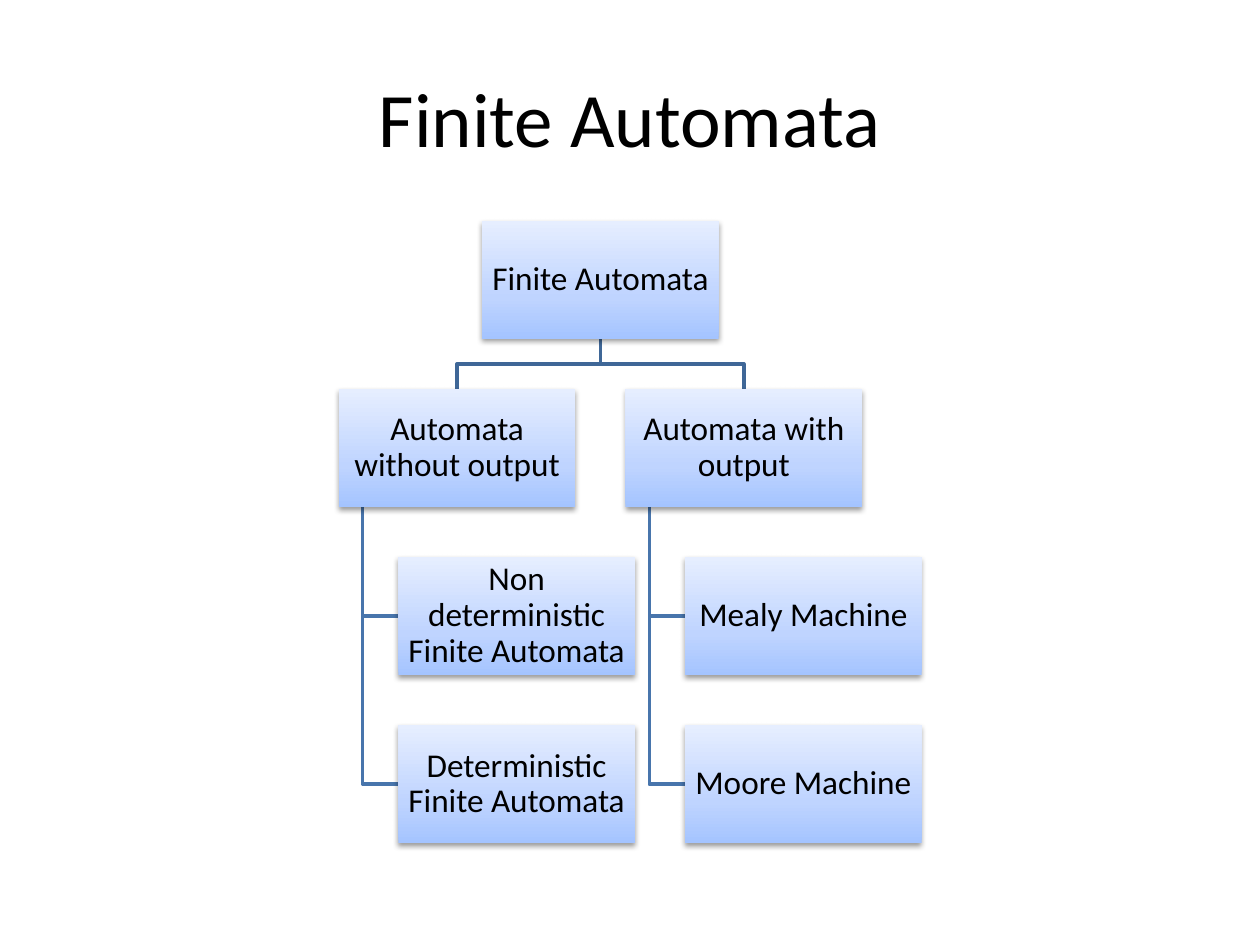
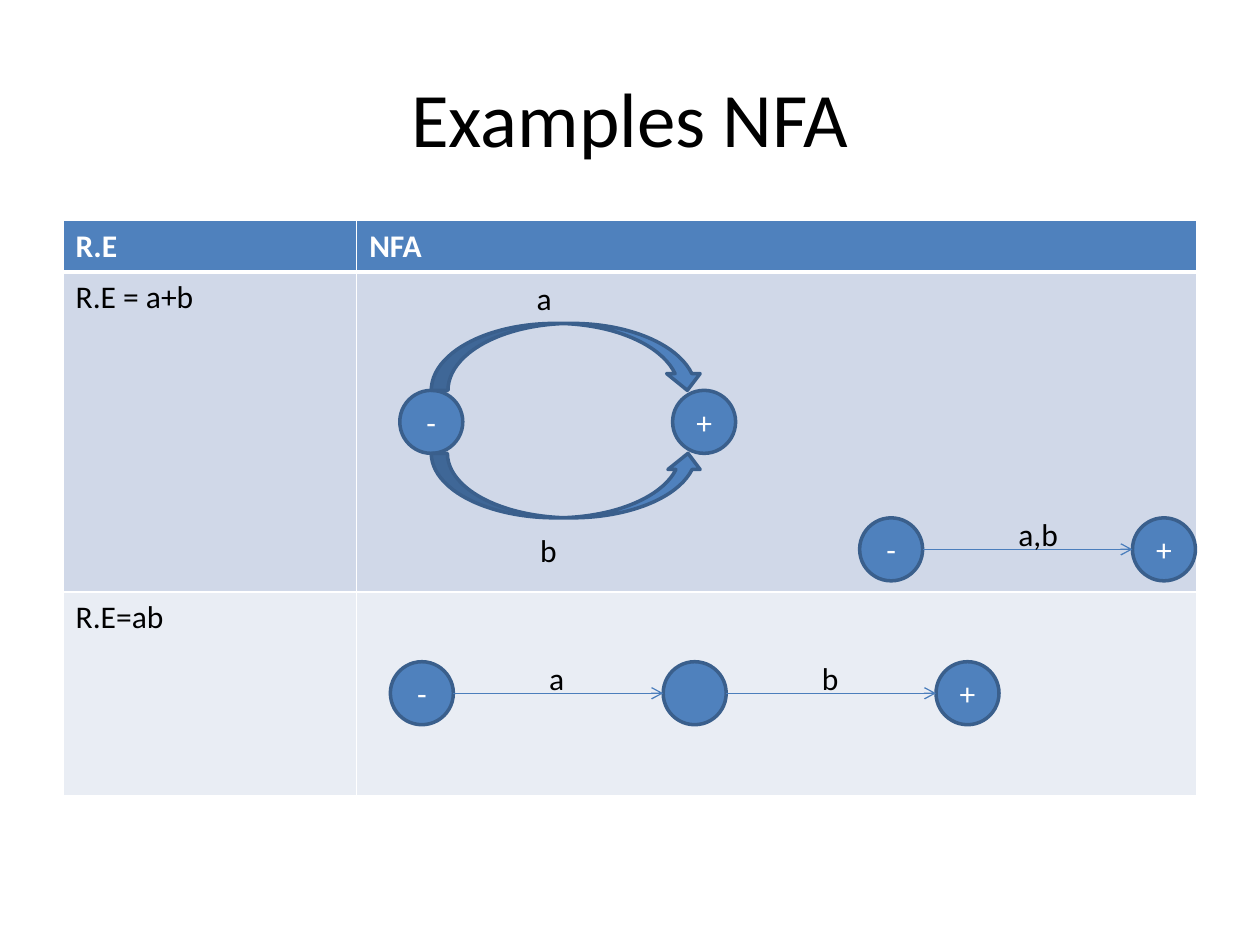
from copy import deepcopy

from lxml.etree import SubElement
from pptx import Presentation
from pptx.dml.color import RGBColor
from pptx.enum.shapes import MSO_CONNECTOR, MSO_SHAPE
from pptx.enum.text import MSO_ANCHOR as ANCHOR, PP_ALIGN as ALIGN
from pptx.oxml.ns import qn
from pptx.util import Cm, Pt

# Content
TREE_TITLE = "Finite Automata"
ROOT = "Finite Automata"
BRANCHES = [
    ("Automata without output",
     ["Non deterministic Finite Automata", "Deterministic Finite Automata"]),
    ("Automata with output", ["Mealy Machine", "Moore Machine"]),
]
NFA_TITLE = "Examples NFA"
NFA_ROWS = [("R.E", "NFA"), ("R.E = a+b", ""), ("R.E=ab", "")]
# Chains of states: left, top, states, labels of the links between them
CHAINS = [
    (17.33, 10.44, ["-", "+"], ["a,b"]),
    (7.87, 13.34, ["-", "", "+"], ["a", "b"]),
]
# Two states joined by curved arrows: left, top, states
LOOP_LEFT, LOOP_TOP, LOOP_STATES = 8.06, 7.87, ["-", "+"]
# Curved arrows: shape, height, whether above; label, its left and top
LOOP_ARROWS = [
    (MSO_SHAPE.CURVED_DOWN_ARROW, 1.35, True, "a", 10.57, 5.51),
    (MSO_SHAPE.CURVED_UP_ARROW, 1.3, False, "b", 10.64, 10.59),
]

# Shared style
FONT = "Calibri"
BLACK, WHITE, BLUE, DARK_BLUE = "000000", "FFFFFF", "4F81BD", "3A5F8C"
LINK_BLUE, ROOT_LINK, LEAF_LINK = "4B7EBC", "3F6797", "4875AC"
BOX_STOPS = [(0, "A4C4FF"), (0.35, "BFD4FF"), (1, "E6EEFF")]
ROW_FILLS = [BLUE, "D0D8E8", "E9EDF4"]
TITLE_PLACE = dict(left=Cm(1.27), top=Cm(0.76), width=Cm(22.86), height=Cm(3.18))

# Layout in centimetres
BOX_W, BOX_H = 4.77, 2.38
TREE_LEFT, TREE_TOP = 6.83, 4.45
LEVEL_STEP, BRANCH_STEP = 3.39, 5.78
LEAF_INDENT, TRUNK_INDENT = 1.2, 0.48
STATE, STATE_STEP = 1.27, 5.5
COLUMN_WIDTHS = [5.92, 16.94]
ROW_HEIGHTS = [1.03, 6.45, 4.12]


def colour(value):
    """Turn a hex string into a colour."""
    return RGBColor.from_string(value)


def assign(target, values):
    """Set each attribute named in a dict."""
    for key, value in values.items():
        setattr(target, key, value)


def write(frame, text, size=18, ink=BLACK, bold=False, align=ALIGN.LEFT, spacing=None):
    """Put one formatted paragraph in a text frame."""
    paragraph = frame.paragraphs[0]
    assign(paragraph, dict(alignment=align, line_spacing=spacing))
    run = paragraph.add_run()
    run.text = text
    assign(run.font, dict(name=FONT, size=Pt(size), bold=bold))
    run.font.color.rgb = colour(ink)


def outline(line, ink, width):
    """Give a line its colour and width in points."""
    line.color.rgb = colour(ink)
    line.width = Pt(width)


def titled_slide(deck, title):
    """Add a title-only slide."""
    slide = deck.slides.add_slide(deck.slide_layouts[5])
    assign(slide.shapes.title, TITLE_PLACE)
    frame = slide.shapes.title.text_frame
    assign(frame, dict(vertical_anchor=ANCHOR.MIDDLE, word_wrap=True))
    write(frame, title, 44, align=ALIGN.CENTER)
    return slide


def elbow(slide, points, ink):
    """Draw an open bent line through points."""
    start, *rest = [(Cm(x), Cm(y)) for x, y in points]
    builder = slide.shapes.build_freeform(*start)
    builder.add_line_segments(rest, close=False)
    link = builder.convert_to_shape()
    link.fill.background()
    outline(link.line, ink, 2)
    link.shadow.inherit = False


def tree_box(slide, text, left, top):
    """Draw a shaded box of the tree."""
    box = slide.shapes.add_shape(
        MSO_SHAPE.RECTANGLE, Cm(left), Cm(top), Cm(BOX_W), Cm(BOX_H))
    box.fill.gradient()
    box.fill.gradient_angle = 90
    stops = box.element.spPr.find(qn("a:gradFill")).find(qn("a:gsLst"))
    stops.append(deepcopy(stops[0]))
    for stop, (position, ink) in zip(box.fill.gradient_stops, BOX_STOPS):
        stop.position = position
        stop.color.rgb = colour(ink)
    box.line.fill.background()
    box.shadow.inherit = False
    effects = box.element.spPr.find(qn("a:effectLst"))
    shadow = SubElement(effects, qn("a:outerShdw"), blurRad=str(Pt(3.1)),
                        dist=str(Pt(1.6)), dir="5400000", rotWithShape="0")
    tint = SubElement(shadow, qn("a:srgbClr"), val=BLACK)
    SubElement(tint, qn("a:alpha"), val="38000")
    margins = dict.fromkeys(
        ["margin_left", "margin_top", "margin_right", "margin_bottom"], Cm(0.03))
    assign(box.text_frame,
           dict(margins, word_wrap=True, vertical_anchor=ANCHOR.MIDDLE))
    write(box.text_frame, text, 19, align=ALIGN.CENTER, spacing=0.9)


def draw_tree(slide):
    """Place the tree level by level, links behind boxes."""
    root_left = TREE_LEFT + BRANCH_STEP * (len(BRANCHES) - 1) / 2
    root_x, root_bottom = root_left + BOX_W / 2, TREE_TOP + BOX_H
    branch_top = TREE_TOP + LEVEL_STEP
    middle = (root_bottom + branch_top) / 2
    boxes = [(ROOT, root_left, TREE_TOP)]
    for column, (branch, leaves) in enumerate(BRANCHES):
        left = TREE_LEFT + column * BRANCH_STEP
        branch_x, trunk = left + BOX_W / 2, left + TRUNK_INDENT
        boxes.append((branch, left, branch_top))
        elbow(slide, [(root_x, root_bottom), (root_x, middle),
                      (branch_x, middle), (branch_x, branch_top)], ROOT_LINK)
        for level, leaf in enumerate(leaves, 1):
            leaf_left, leaf_top = left + LEAF_INDENT, branch_top + level * LEVEL_STEP
            leaf_y = leaf_top + BOX_H / 2
            boxes.append((leaf, leaf_left, leaf_top))
            elbow(slide, [(trunk, branch_top + BOX_H), (trunk, leaf_y),
                          (leaf_left, leaf_y)], LEAF_LINK)
    for box in boxes:
        tree_box(slide, *box)


def draw_table(slide):
    """Add the table of expressions."""
    table = slide.shapes.add_table(
        len(NFA_ROWS), len(COLUMN_WIDTHS), Cm(1.27), Cm(4.45),
        Cm(sum(COLUMN_WIDTHS)), Cm(sum(ROW_HEIGHTS))).table
    for column, width in zip(table.columns, COLUMN_WIDTHS):
        column.width = Cm(width)
    for r, texts in enumerate(NFA_ROWS):
        table.rows[r].height = Cm(ROW_HEIGHTS[r])
        header = r == 0
        for c, text in enumerate(texts):
            cell = table.cell(r, c)
            properties = cell._tc.get_or_add_tcPr()
            for side in "LRTB":
                thick = (header and side == "B") or (r == 1 and side == "T")
                border = SubElement(properties, qn("a:ln" + side),
                                    w=str(Pt(3 if thick else 1)))
                paint = SubElement(border, qn("a:solidFill"))
                SubElement(paint, qn("a:srgbClr"), val=WHITE)
            cell.fill.solid()
            cell.fill.fore_color.rgb = colour(ROW_FILLS[r])
            if text:
                write(cell.text_frame, text, ink=WHITE if header else BLACK, bold=header)


def blue_shape(slide, kind, left, top, width, height, text=""):
    """Draw a blue outlined shape, with centred text if any."""
    shape = slide.shapes.add_shape(kind, Cm(left), Cm(top), Cm(width), Cm(height))
    shape.fill.solid()
    shape.fill.fore_color.rgb = colour(BLUE)
    outline(shape.line, DARK_BLUE, 2)
    shape.shadow.inherit = False
    if text:
        shape.text_frame.vertical_anchor = ANCHOR.MIDDLE
        write(shape.text_frame, text, ink=WHITE, align=ALIGN.CENTER)


def draw_states(slide, left, top, states):
    """Draw a row of evenly spaced states."""
    for i, state in enumerate(states):
        blue_shape(slide, MSO_SHAPE.OVAL, left + i * STATE_STEP, top, STATE, STATE, state)


def draw_label(slide, text, left, top):
    """Write the label of a link."""
    label = slide.shapes.add_textbox(Cm(left), Cm(top), Cm(1.57), Cm(1.02))
    label.text_frame.word_wrap = True
    write(label.text_frame, text)


def draw_chain(slide, left, top, states, labels):
    """Draw states joined by labelled straight arrows."""
    draw_states(slide, left, top, states)
    y = top + STATE / 2
    for i, label in enumerate(labels):
        start, end = left + i * STATE_STEP + STATE, left + (i + 1) * STATE_STEP
        link = slide.shapes.add_connector(
            MSO_CONNECTOR.STRAIGHT, Cm(start), Cm(y), Cm(end), Cm(y))
        outline(link.line, LINK_BLUE, 0.75)
        SubElement(link.line._get_or_add_ln(), qn("a:tailEnd"), type="arrow")
        SubElement(link._element.spPr, qn("a:effectLst"))
        draw_label(slide, label, start + 1.68, top - 0.18)


def draw_loop(slide):
    """Draw two states joined by curved arrows above and below."""
    draw_states(slide, LOOP_LEFT, LOOP_TOP, LOOP_STATES)
    for kind, height, above, label, label_left, label_top in LOOP_ARROWS:
        top = LOOP_TOP - height if above else LOOP_TOP + STATE
        blue_shape(slide, kind, LOOP_LEFT + STATE / 2, top, STATE_STEP, height)
        draw_label(slide, label, label_left, label_top)


deck = Presentation()
assign(deck, dict(slide_width=Cm(25.4), slide_height=Cm(19.05)))

draw_tree(titled_slide(deck, TREE_TITLE))

examples = titled_slide(deck, NFA_TITLE)
draw_table(examples)
draw_loop(examples)
for chain in CHAINS:
    draw_chain(examples, *chain)

deck.save("out.pptx")
